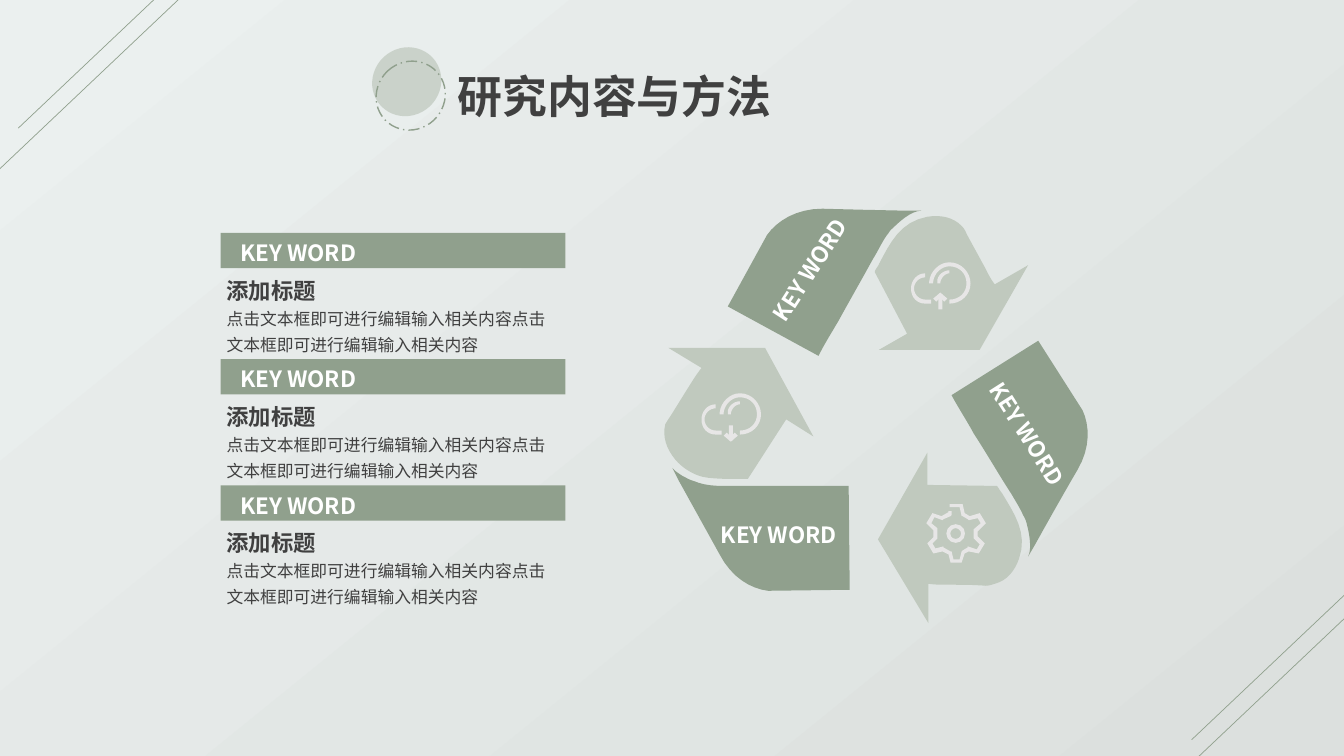
import pptx
import pptx.util
import pptx.dml.color
import pptx.enum.dml
import pptx.enum.shapes
import pptx.enum.text
import pptx.oxml.ns
from lxml import etree

Cm = pptx.util.Cm
Pt = pptx.util.Pt
SHAPE = pptx.enum.shapes.MSO_SHAPE
ALIGN = pptx.enum.text.PP_ALIGN
ANCHOR = pptx.enum.text.MSO_ANCHOR
qn = pptx.oxml.ns.qn

FONT = "Noto Sans CJK SC"
COLORS = {"sage": "90A08D", "light": "C0C9BE", "icon": "E7E6E6", "text": "404040",
          "white": "FFFFFF", "bg_start": "EBF0EF", "bg_end": "DCE0DE"}
UNIT = 0.0254  # cm per step of the outline grid
LINE_PITCH = 1.55  # line pitch as a multiple of the font size

# Outlines: M start, L line, C cubic curve, in grid steps from the region's corner
ARROWS = [
    "M 330 75 C 326 70 323 64 320 58 C 314 47 308 36 302 25 C 301 22 299 19 297 17 "
    "C 288 8 276 6 263 8 C 236 13 226 34 215 55 C 215 56 210 62 211 63 "
    "L 243 124 L 215 140 L 315 140 L 363 56",
    "M 264 372 C 270 373 277 373 283 373 C 296 373 308 373 321 374 C 324 374 327 373 330 372 "
    "C 342 369 350 359 354 347 C 363 322 349 302 337 282 C 335 280 334 277 332 275 "
    "L 263 274 L 263 242 L 214 328 L 264 411",
    "M 39 158 C 35 163 31 169 28 174 C 21 185 15 195 8 206 C 6 209 4 212 3 214 "
    "C 0 226 4 238 13 249 C 20 257 29 263 40 266 C 53 269 84 268 85 268 "
    "L 123 209 L 150 226 L 102 138 L 6 138",
]
BANDS = [
    "M 223 26 C 225 24 226 21 228 20 C 235 13 247 2 257 2 L 243 2 C 243 2 192 1 159 0 "
    "C 133 0 114 12 104 26 L 65 97 L 155 146 C 161 134 168 123 175 111 "
    "C 186 91 198 70 209 50 C 214 42 218 33 223 26",
    "M 358 304 C 360 307 361 310 362 314 C 364 322 367 337 363 345 L 370 333 "
    "C 370 333 395 288 412 259 C 425 237 424 215 417 200 L 373 131 L 287 185 "
    "C 294 198 302 210 309 223 C 322 243 334 264 347 284 C 351 291 355 297 358 304",
    "M 10 257 L 16 269 C 16 269 41 314 57 343 C 69 366 88 377 105 379 L 186 378 L 185 275 "
    "L 74 275 C 59 275 45 276 31 270 C 27 269 24 267 20 265 C 17 263 12 260 10 257",
]
GEAR = (
    "M 297 351 L 286 351 L 284 343 L 278 340 L 269 342 L 263 332 L 269 326 L 269 319 L 262 312 "
    "L 268 302 L 277 305 L 284 301 L 284 300 L 287 300 L 287 304 L 286 305 L 279 308 L 278 309 "
    "L 270 306 L 267 312 L 273 317 L 273 327 L 268 332 L 271 337 L 279 335 L 279 336 L 286 340 "
    "L 287 340 L 289 348 L 295 348 L 297 340 L 298 339 L 303 336 L 303 335 L 312 338 L 315 333 "
    "L 309 327 L 309 318 L 316 312 L 313 307 L 304 309 L 303 308 L 298 305 L 297 305 L 295 296 "
    "L 285 296 L 285 293 L 298 293 L 300 302 L 305 305 L 315 302 L 321 312 L 313 320 L 313 325 "
    "L 320 332 L 314 342 L 304 340 L 300 342")
CLOUD = [
    "M 38 41 L 38 37 C 48 37 55 30 55 21 C 55 11 48 4 38 4 C 30 4 23 11 22 19 L 22 21 L 18 21 "
    "L 18 19 C 19 9 28 0 38 0 C 50 0 59 10 59 21 C 59 32 50 41 38 41",
    "M 29 21 L 26 21 L 26 19 C 26 13 32 8 38 8 L 38 11 C 34 11 30 15 29 20",
    "M 20 41 L 14 41 C 6 41 0 35 0 26 C 0 18 6 11 14 11 L 14 15 C 8 15 3 20 3 26 "
    "C 3 32 8 37 14 37 L 20 37",
]
CLOUD_TIP = {"up": "M 33 39 L 29 35 L 25 39 L 22 36 L 29 30 L 36 36",
             "down": "M 33 39 L 29 43 L 25 39 L 22 42 L 29 48 L 36 42"}


def rgb(name):
    return pptx.dml.color.RGBColor.from_string(COLORS[name])


def paint(sp, color):
    sp.shadow.inherit = False
    sp.fill.solid()
    sp.fill.fore_color.rgb = rgb(color)
    sp.line.fill.background()


def add_preset(s, kind, left, top, width, height, color):
    sp = s.shapes.add_shape(kind, Cm(left), Cm(top), Cm(width), Cm(height))
    paint(sp, color)
    return sp


def outline_points(outline, steps=8):
    """Turn an outline into points, sampling each curve evenly."""
    points = []
    for part in outline.replace("C", "|C").replace("L", "|L").split("|"):
        n = [float(v) for v in part.split()[1:]]
        if len(n) == 2:
            points.append((n[0], n[1]))
            continue
        x0, y0 = points[-1]
        for i in range(1, steps + 1):
            t = i / steps
            a, b, c, d = (1 - t) ** 3, 3 * t * (1 - t) ** 2, 3 * t * t * (1 - t), t ** 3
            points.append((a * x0 + b * n[0] + c * n[2] + d * n[4],
                           a * y0 + b * n[1] + c * n[3] + d * n[5]))
    return [(Cm(x * UNIT), Cm(y * UNIT)) for x, y in points]


def add_outline(s, left, top, outline, color):
    points = outline_points(outline)
    builder = s.shapes.build_freeform(*points[0], scale=1.0)
    builder.add_line_segments(points[1:], close=True)
    paint(builder.convert_to_shape(Cm(left), Cm(top)), color)


def set_text(sp, text, size, color, bold=False, align=ALIGN.LEFT, anchor=ANCHOR.MIDDLE):
    tf = sp.text_frame
    tf.text = text
    tf.word_wrap = True
    tf.auto_size = pptx.enum.text.MSO_AUTO_SIZE.NONE
    tf.vertical_anchor = anchor
    if anchor == ANCHOR.MIDDLE:
        tf.margin_top = tf.margin_bottom = 0
    p = tf.paragraphs[0]
    p.alignment = align
    if anchor == ANCHOR.TOP:
        p.line_spacing = Pt(size * LINE_PITCH)
    font = p.runs[0].font
    font.name, font.size, font.bold = FONT, Pt(size), bold
    font.color.rgb = rgb(color)
    etree.SubElement(font._element, qn("a:ea"), typeface=FONT)


def add_text(s, left, top, width, height, *args, **kwargs):
    sp = s.shapes.add_textbox(Cm(left), Cm(top), Cm(width), Cm(height))
    set_text(sp, *args, **kwargs)
    return sp


def add_backdrop(s):
    fill = s.background.fill
    fill.gradient()
    fill.gradient_angle = 309
    for stop, name in zip(fill.gradient_stops, ("bg_start", "bg_end")):
        stop.color.rgb = rgb(name)
    # Slanted hairlines in two corners
    for x, y in [(4.57, -0.08), (5.18, -1.24), (34.16, 15.32), (34.75, 14.17)]:
        line = s.shapes.add_connector(pptx.enum.shapes.MSO_CONNECTOR.STRAIGHT,
                                      Cm(x), Cm(y), Cm(x - 4.72), Cm(y + 4.47))
        line.line.color.rgb = rgb("sage")
        line.line.width = Pt(0.5)
        etree.SubElement(line._element.spPr, qn("a:effectLst"))


def add_heading(s, left, top):
    disc = add_preset(s, SHAPE.OVAL, left, top, 1.7, 1.78, "light")
    color = disc.fill._xPr.find(qn("a:solidFill"))[0]
    etree.SubElement(color, qn("a:alpha"), val="74000")
    ring = add_preset(s, SHAPE.OVAL, left + 0.1, top + 0.35, 1.7, 1.78, "light")
    ring.fill.background()
    ring.line.color.rgb = rgb("sage")
    ring.line.width = Pt(1)
    ring.line.dash_style = pptx.enum.dml.MSO_LINE.LONG_DASH_DOT
    disc.rotation = ring.rotation = 47
    title = s.shapes.title
    title.left, title.top = Cm(left + 1.88), Cm(top + 0.43)
    title.width, title.height = Cm(12.57), Cm(1.63)
    set_text(title, "研究内容与方法", 32, "text", bold=True, align=ALIGN.JUSTIFY)


def add_card(s, left, top):
    add_preset(s, SHAPE.RECTANGLE, left + 0.1, top, 8.69, 0.89, "sage")
    add_text(s, left + 0.05, top + 0.03, 4.01, 0.94, "KEY WORD", 16, "white",
             bold=True, align=ALIGN.CENTER)
    add_text(s, left, top + 1.63, 8.79, 1.47, "点击文本框即可进行编辑输入相关内容" * 1
             + "点击文本框即可进行编辑输入相关内容", 12, "text", anchor=ANCHOR.TOP)
    add_text(s, left, top + 0.79, 3.76, 1.12, "添加标题", 16, "text",
             bold=True, anchor=ANCHOR.TOP)


def add_cloud(s, left, top, direction):
    for outline in CLOUD + [CLOUD_TIP[direction]]:
        add_outline(s, left, top, outline, "icon")
    add_preset(s, SHAPE.RECTANGLE, left + 0.69, top + 0.81, 0.1, 0.38, "icon")


def add_cycle(s, left, top):
    for color, outlines in (("light", ARROWS), ("sage", BANDS)):
        for outline in outlines:
            add_outline(s, left, top, outline, color)
    # Icons on the arrows
    add_outline(s, left, top, GEAR, "icon")
    hub = add_preset(s, SHAPE.DONUT, left + 7.16, top + 7.95, 0.47, 0.47, "icon")
    hub.adjustments[0] = 0.21
    add_cloud(s, left + 0.99, top + 4.65, "down")
    add_cloud(s, left + 6.27, top + 1.35, "up")
    # Labels along the bands
    for x, y, angle in [(1.07, 7.77, 0), (7.34, 5.23, 57.5), (1.85, 1.09, 302.9)]:
        label = add_text(s, left + x, top + y, 3.73, 0.89, "KEY WORD", 16, "white",
                         bold=True, align=ALIGN.CENTER)
        label.rotation = angle


def main():
    prs = pptx.Presentation()
    prs.slide_width, prs.slide_height = Cm(33.87), Cm(19.05)
    s = prs.slides.add_slide(prs.slide_layouts[5])
    add_backdrop(s)
    add_heading(s, 9.4, 1.17)
    for i in range(3):
        add_card(s, 5.46, 5.87 + 3.18 * i)
    add_cycle(s, 16.69, 5.26)
    prs.save("out.pptx")


if __name__ == "__main__":
    main()
